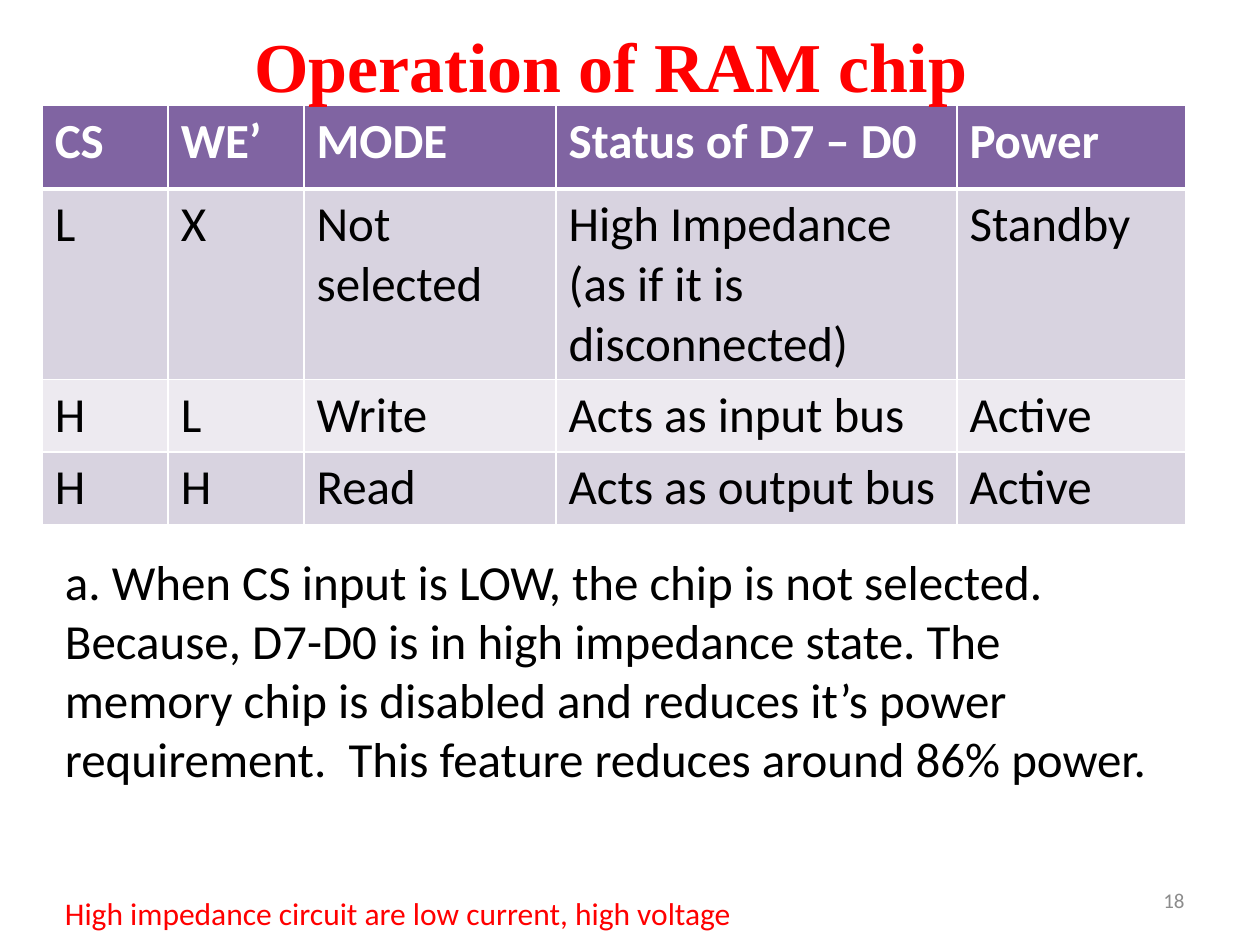
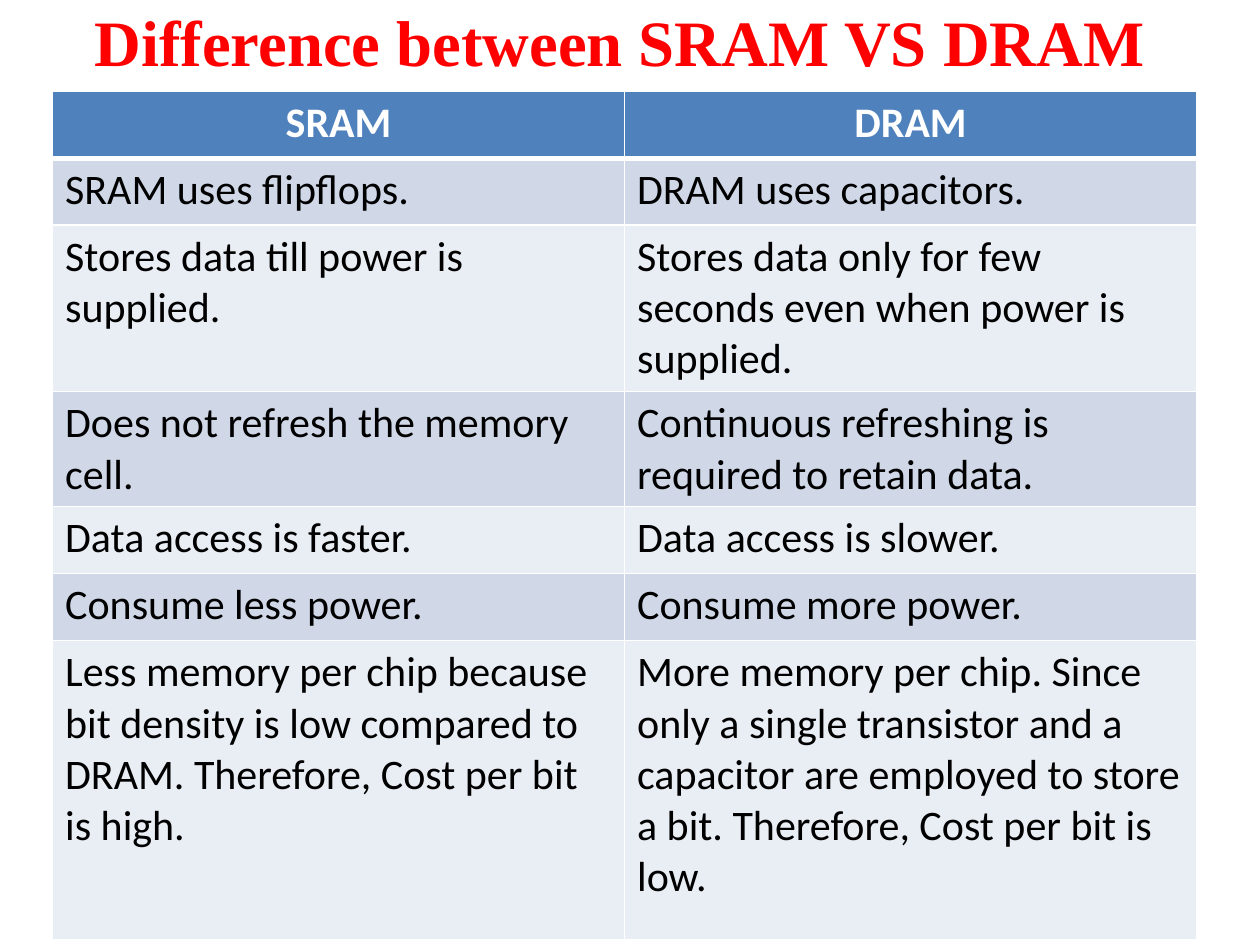
"""Build two slides on RAM chip operation and on SRAM against DRAM."""
from lxml.etree import SubElement
from pptx import Presentation
from pptx.dml.color import RGBColor
from pptx.enum.text import MSO_ANCHOR, MSO_AUTO_SIZE, PP_ALIGN
from pptx.oxml.ns import qn
from pptx.util import Cm, Pt

WHITE = RGBColor(0xFF, 0xFF, 0xFF)
BLACK = RGBColor(0, 0, 0)
RED = RGBColor(0xFF, 0, 0)
GREY = RGBColor(0x8C, 0x8C, 0x8C)
PURPLE = (RGBColor(0x80, 0x64, 0xA2), RGBColor(0xD8, 0xD3, 0xE0), RGBColor(0xED, 0xEA, 0xF0))
BLUE = (RGBColor(0x4F, 0x81, 0xBD), RGBColor(0xD0, 0xD8, 0xE8), RGBColor(0xE9, 0xED, 0xF4))
SANS = "Calibri"
SERIF = "Times New Roman"

MODES = [
    ("CS", "WE’", "MODE", "Status of D7 – D0", "Power"),
    ("L", "X", "Not selected", "High Impedance\n(as if it is disconnected)", "Standby"),
    ("H", "L", "Write", "Acts as input bus", "Active"),
    ("H", "H", "Read", "Acts as output bus", "Active"),
]
TYPES = [
    ("SRAM", "DRAM"),
    ("SRAM uses flipflops.", "DRAM uses capacitors."),
    ("Stores data till power is supplied.",
     "Stores data only for few seconds even when power is supplied."),
    ("Does not refresh the memory cell.",
     "Continuous refreshing is required to retain data."),
    ("Data access is faster.", "Data access is slower."),
    ("Consume less power.", "Consume more power."),
    ("Less memory per chip because bit density is low compared to DRAM. "
     "Therefore, Cost per bit is high.",
     "More memory per chip. Since only a single transistor and a capacitor "
     "are employed to store a bit. Therefore, Cost per bit is low."),
]
NOTE = ("a. When CS input is LOW, the chip is not selected. Because, D7-D0 is in high "
        "impedance state. The memory chip is disabled and reduces it’s power "
        "requirement.  This feature reduces around 86% power.")


def style(frame, size, color, bold=False, align=PP_ALIGN.LEFT, face=SANS):
    """Format every run of a text frame."""
    for para in frame.paragraphs:
        para.alignment = align
        for run in para.runs:
            run.font.name = face
            run.font.size = Pt(size)
            run.font.bold = bold
            run.font.color.rgb = color


def add_title(slide, text, top, size):
    """Fill the title placeholder and bring it to the front."""
    title = slide.shapes.title
    title.left, title.top, title.width, title.height = Cm(1.06), Cm(top), Cm(22.86), Cm(2.6)
    frame = title.text_frame
    frame.text = text
    frame.auto_size = MSO_AUTO_SIZE.NONE
    frame.vertical_anchor = MSO_ANCHOR.MIDDLE
    style(frame, size, RED, True, PP_ALIGN.CENTER, SERIF)
    title.element.getparent().append(title.element)


def add_text(slide, text, box, size, color, wrap=True, align=PP_ALIGN.LEFT,
             anchor=MSO_ANCHOR.TOP):
    """Add a text box at the given place in centimetres."""
    frame = slide.shapes.add_textbox(*map(Cm, box)).text_frame
    frame.text = text
    frame.word_wrap = wrap
    frame.vertical_anchor = anchor
    style(frame, size, color, align=align)


def add_edges(cell, head):
    """Give a cell white borders, with a thick one under the header."""
    props = cell._tc.get_or_add_tcPr()
    for side in "LRTB":
        width = Pt(3) if head and side == "B" else Pt(1)
        line = SubElement(props, qn(f"a:ln{side}"), w=str(width))
        fill = SubElement(line, qn("a:solidFill"))
        SubElement(fill, qn("a:srgbClr"), val=str(WHITE))


def add_grid(slide, data, spot, cols, rows, size, tones, align=PP_ALIGN.LEFT):
    """Add a banded table; align applies to its header row."""
    left, top = spot
    table = slide.shapes.add_table(len(rows), len(cols), Cm(left), Cm(top),
                                   Cm(sum(cols)), Cm(sum(rows))).table
    for col, width in zip(table.columns, cols):
        col.width = Cm(width)
    for r, (row, height) in enumerate(zip(table.rows, rows)):
        row.height = Cm(height)
        head = r == 0
        for cell, text in zip(row.cells, data[r]):
            add_edges(cell, head)
            cell.fill.solid()
            cell.fill.fore_color.rgb = tones[0] if head else tones[2 - r % 2]
            cell.text_frame.text = text
            style(cell.text_frame, size, WHITE if head else BLACK, head,
                  align if head else PP_ALIGN.LEFT)


def main():
    """Build and save the deck."""
    deck = Presentation()
    deck.slide_width, deck.slide_height = Cm(25.4), Cm(19.05)
    layout = deck.slide_layouts[5]

    chip = deck.slides.add_slide(layout)
    add_text(chip, "18", (18.2, 17.65, 5.93, 1.01), 12, GREY,
             align=PP_ALIGN.RIGHT, anchor=MSO_ANCHOR.MIDDLE)
    add_grid(chip, MODES, (0.85, 2.12), (2.54, 2.74, 5.08, 8.08, 4.62),
             (1.69, 3.84, 1.46, 1.46), 28, PURPLE)
    add_title(chip, "Operation of RAM chip ", 0, 40)
    add_text(chip, "High impedance circuit are low current, high voltage",
             (1.06, 17.9, 14.12, 1.03), 18, RED, wrap=False)
    add_text(chip, NOTE, (1.06, 11, 22.65, 5.06), 28, BLACK)

    types = deck.slides.add_slide(layout)
    add_grid(types, TYPES, (1.06, 1.84), (11.53, 11.53),
             (1.35, 1.35, 3.3, 2.28, 1.35, 1.35, 6.03), 24, BLUE, PP_ALIGN.CENTER)
    add_title(types, "Difference between SRAM VS DRAM", -0.49, 37)

    deck.save("out.pptx")


if __name__ == "__main__":
    main()
